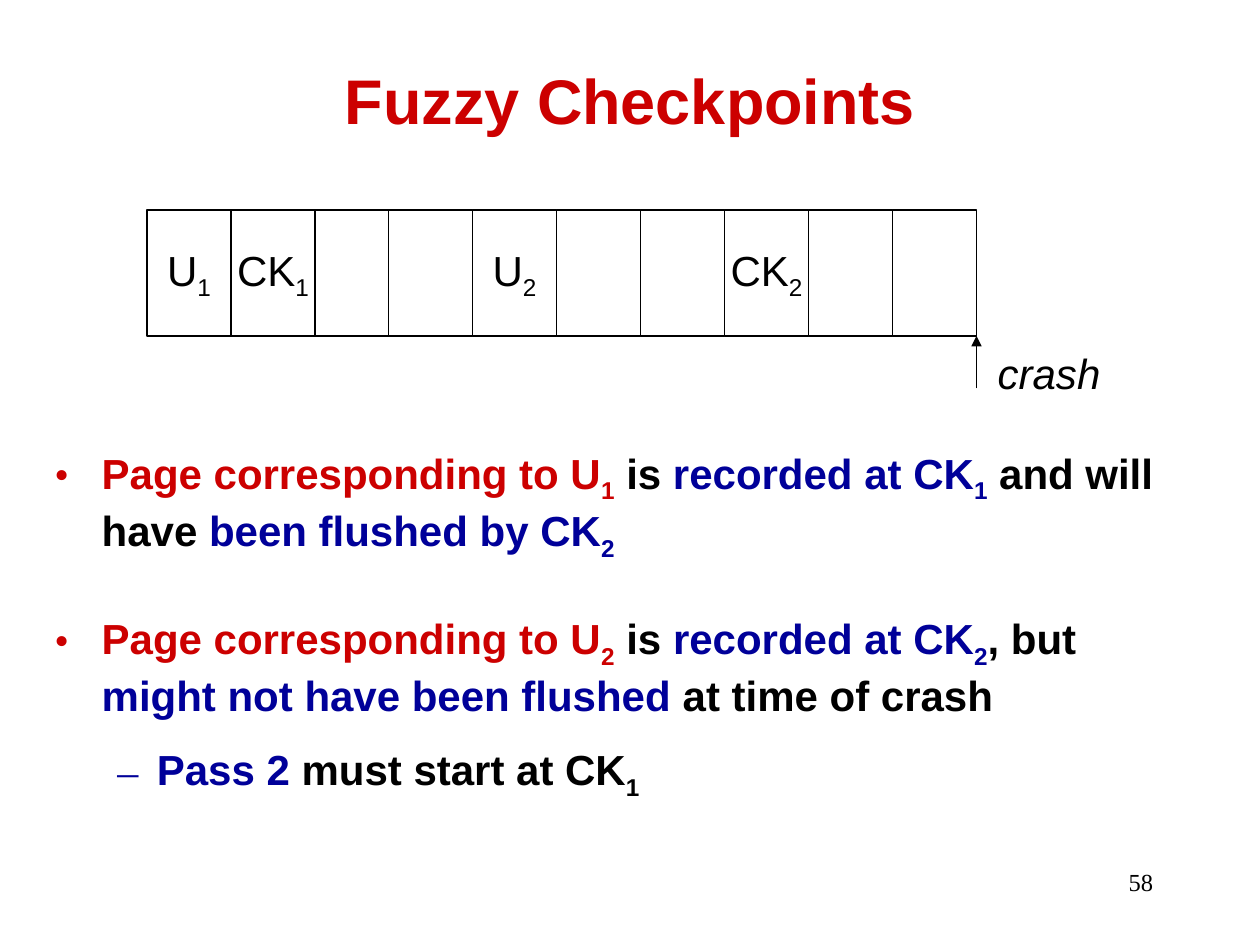
from lxml.etree import SubElement
from pptx import Presentation
from pptx.dml.color import RGBColor
from pptx.enum.shapes import MSO_CONNECTOR, MSO_SHAPE
from pptx.enum.text import MSO_ANCHOR, PP_ALIGN
from pptx.oxml.ns import qn
from pptx.util import Pt

RED = RGBColor(0xCC, 0x00, 0x00)
BLUE = RGBColor(0x00, 0x00, 0x99)
BLACK = RGBColor(0x00, 0x00, 0x00)
WHITE = RGBColor(0xFF, 0xFF, 0xFF)


def add_text(para, text, size=24, font="Arial", color=BLACK, bold=False, italic=False):
    """Add text to a paragraph; a character after "_" becomes a subscript."""
    head, *rest = text.split("_")
    pieces = [(head, False)]
    for part in rest:
        pieces += [(part[0], True), (part[1:], False)]
    for piece, lowered in pieces:
        if not piece:
            continue
        span = para.add_run()
        span.text = piece
        span.font.size = Pt(size)
        span.font.name = font
        span.font.color.rgb = color
        span.font.bold = bold
        span.font.italic = italic
        if lowered:
            span.font._element.set("baseline", "-25000")


class SlideBuilder:
    line_width = Pt(0.75)

    def __init__(self, page):
        self.page = page

    def frame(self, left, top, width, height, anchor=MSO_ANCHOR.TOP, wrap=True):
        box = self.page.shapes.add_textbox(Pt(left), Pt(top), Pt(width), Pt(height))
        box.text_frame.word_wrap = wrap
        box.text_frame.vertical_anchor = anchor
        return box.text_frame

    def label(self, text, area, align=PP_ALIGN.LEFT, anchor=MSO_ANCHOR.TOP,
              wrap=True, **style):
        para = self.frame(*area, anchor=anchor, wrap=wrap).paragraphs[0]
        para.alignment = align
        add_text(para, text, **style)

    def bullets(self, items, area):
        frame = self.frame(*area)
        for number, (mark, margin, indent, before, spans) in enumerate(items):
            para = frame.add_paragraph() if number else frame.paragraphs[0]
            para.space_before = Pt(before)
            properties = para._p.get_or_add_pPr()
            properties.set("marL", str(Pt(margin)))
            properties.set("indent", str(Pt(-indent)))
            SubElement(properties, qn("a:buFont"), typeface="Times New Roman")
            SubElement(properties, qn("a:buChar"), char=mark)
            for text, color in spans:
                add_text(para, text, color=color, bold=True)

    def cell(self, text, left, top, width, height):
        box = self.page.shapes.add_shape(
            MSO_SHAPE.RECTANGLE, Pt(left), Pt(top), Pt(width), Pt(height))
        box.shadow.inherit = False
        box.fill.solid()
        box.fill.fore_color.rgb = WHITE
        box.line.color.rgb = BLACK
        box.line.width = self.line_width
        frame = box.text_frame
        frame.word_wrap = False
        frame.vertical_anchor = MSO_ANCHOR.MIDDLE
        frame.paragraphs[0].alignment = PP_ALIGN.CENTER
        add_text(frame.paragraphs[0], text)

    def arrow(self, x1, y1, x2, y2):
        line = self.page.shapes.add_connector(
            MSO_CONNECTOR.STRAIGHT, Pt(x1), Pt(y1), Pt(x2), Pt(y2))
        line.line.color.rgb = BLACK
        line.line.width = self.line_width
        SubElement(line.line._get_or_add_ln(), qn("a:tailEnd"), type="triangle")
        SubElement(line._element.spPr, qn("a:effectLst"))


def main():
    deck = Presentation()
    deck.slide_width, deck.slide_height = Pt(720), Pt(540)
    builder = SlideBuilder(deck.slides.add_slide(deck.slide_layouts[6]))

    # Page number and title
    builder.label("58", (516, 492, 150, 36), align=PP_ALIGN.RIGHT,
                  size=14, font="Times New Roman")
    builder.label("Fuzzy Checkpoints", (54, 24.5, 612, 65), align=PP_ALIGN.CENTER,
                  anchor=MSO_ANCHOR.MIDDLE, size=36, color=RED, bold=True)

    # Explanation: mark, margin, indent, space before, spans
    builder.bullets([
        ("•", 27, 27, 5, [
            ("Page corresponding to U_1 ", RED), ("is ", BLACK),
            ("recorded at CK_1", BLUE), (" and will have ", BLACK),
            ("been flushed by CK_2", BLUE)]),
        ("•", 27, 27, 29, [
            ("Page corresponding to U_2", RED), (" is ", BLACK),
            ("recorded at CK_2", BLUE), (", but ", BLACK),
            ("might not have been flushed", BLUE), (" at time of crash", BLACK)]),
        ("–", 58.5, 22.5, 13.5, [
            ("Pass 2", BLUE), (" must start at CK_1", BLACK)]),
    ], (24, 252, 666, 199.5))

    # Log records; the fourth cell overlaps the third by a little
    width, height, left, top, overlap = 48, 72, 84, 120, 6
    records = ["U_1", "CK_1", "", "", "U_2", "", "", "CK_2", "", ""]
    for index, record in enumerate(records):
        shift = overlap if index >= 3 else 0
        builder.cell(record, left + index * width - shift, top, width, height)

    # Crash point at the end of the log
    end, bottom = left + len(records) * width - overlap, top + height
    builder.label("crash", (563, 195, 73.5, 36), wrap=False, italic=True)
    builder.arrow(end, bottom + 30, end, bottom)

    deck.save("out.pptx")


if __name__ == "__main__":
    main()
